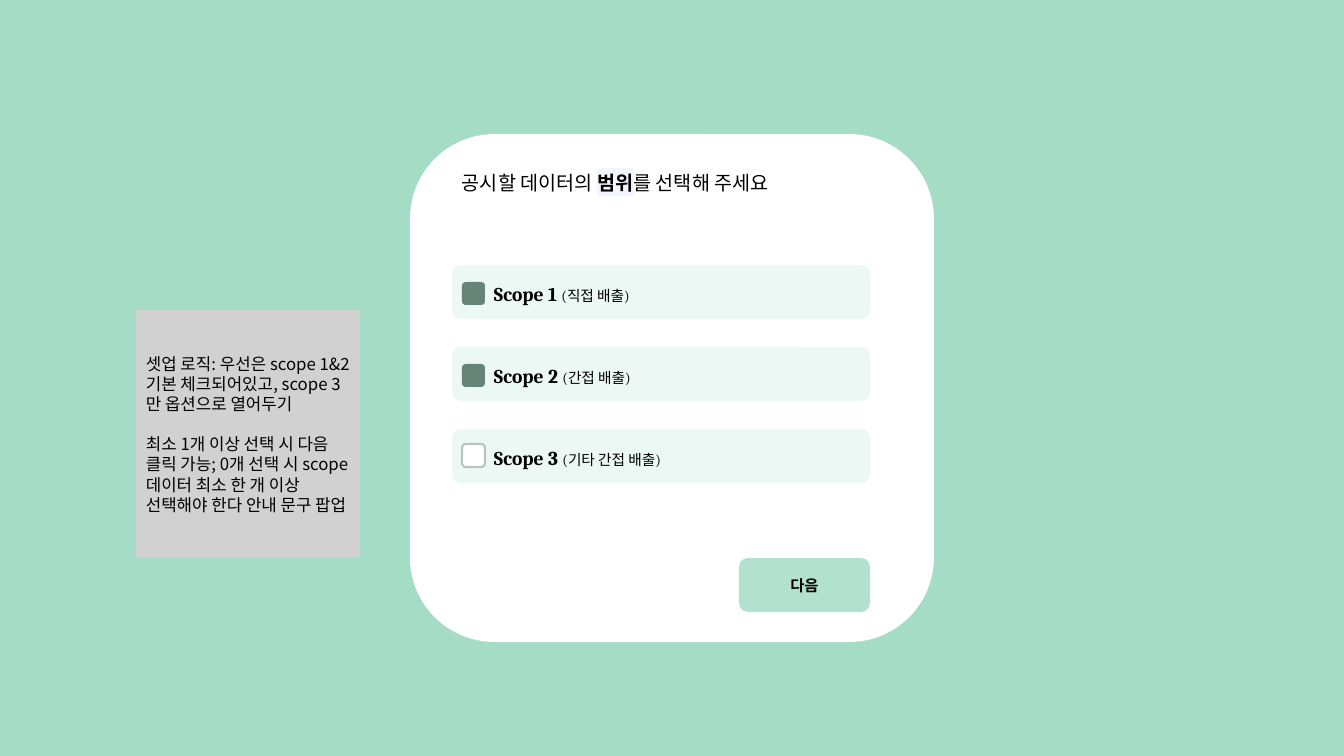
import pptx
import pptx.util
import pptx.dml.color
import pptx.enum.shapes
import pptx.enum.text
import pptx.oxml.ns
from lxml import etree

EMU_PER_PX = 12192000 / 1344
RECT = pptx.enum.shapes.MSO_SHAPE.RECTANGLE
ROUNDED = pptx.enum.shapes.MSO_SHAPE.ROUNDED_RECTANGLE
MIDDLE = pptx.enum.text.MSO_ANCHOR.MIDDLE
LEFT = pptx.enum.text.PP_ALIGN.LEFT
CENTER = pptx.enum.text.PP_ALIGN.CENTER
KOREAN = "Noto Sans CJK KR"
SERIF = "Cambria"


def px(*lengths):
    return [pptx.util.Emu(round(n * EMU_PER_PX)) for n in lengths]


def color(value):
    return pptx.dml.color.RGBColor.from_string(value)


def add_box(s, kind, left, top, width, height, fill, line=None):
    sp = s.shapes.add_shape(kind, *px(left, top, width, height))
    sp.shadow.inherit = False
    sp.fill.solid()
    sp.fill.fore_color.rgb = color(fill)
    if line:
        sp.line.color.rgb = color(line)
        sp.line.width = pptx.util.Pt(1.5)
    else:
        sp.line.fill.background()
    return sp


def add_run(p, text, size, font, bold=False, highlight=None):
    r = p.add_run()
    r.text = text
    r.font.size = pptx.util.Pt(size)
    r.font.bold = bold
    r.font.color.rgb = color("000000")
    rpr = r.font._element
    if highlight:
        mark = etree.SubElement(rpr, pptx.oxml.ns.qn("a:highlight"))
        etree.SubElement(mark, pptx.oxml.ns.qn("a:srgbClr"), val=highlight)
    r.font.name = font
    etree.SubElement(rpr, pptx.oxml.ns.qn("a:ea"), typeface=KOREAN)


def add_label(s, left, top, runs):
    """Place one line of text; each run is a tuple of add_run arguments."""
    tf = s.shapes.add_textbox(*px(left, top, 418, 34)).text_frame
    tf.word_wrap = True
    for run in runs:
        add_run(tf.paragraphs[0], *run)


def fill_text(sp, paragraphs, size, align, bold=False):
    tf = sp.text_frame
    tf.word_wrap = True
    tf.vertical_anchor = MIDDLE
    for i, text in enumerate(paragraphs):
        p = tf.add_paragraph() if i else tf.paragraphs[0]
        p.alignment = align
        if i:
            p.space_before = pptx.util.Pt(14.4)
        add_run(p, text, size, KOREAN, bold)


def add_option(s, top, name, detail, checked):
    add_box(s, ROUNDED, 452, top, 418, 54, "ECF8F4")
    if checked:
        add_box(s, ROUNDED, 462, top + 17, 23, 23, "648578")
    else:
        add_box(s, ROUNDED, 462, top + 15, 23, 23, "FFFFFF", "B4C6BF")
    add_label(s, 484, top + 12, [(name + " ", 14, SERIF, True), (detail, 10.5, SERIF)])


def main():
    prs = pptx.Presentation()
    prs.slide_width, prs.slide_height = px(1344, 756)
    s = prs.slides.add_slide(prs.slide_layouts[6])

    add_box(s, RECT, 0, 0, 1344, 756, "A5DCC6")
    add_box(s, ROUNDED, 410, 134, 524, 508, "FFFFFF")
    add_label(s, 452, 166, [
        ("공시할 데이터의 ", 14, SERIF),
        ("범위", 14, SERIF, True, "F2F5FD"),
        ("를 선택해 주세요", 14, SERIF),
    ])

    options = [
        ("Scope 1", "(직접 배출)", True),
        ("Scope 2", "(간접 배출)", True),
        ("Scope 3", "(기타 간접 배출)", False),
    ]
    for i, option in enumerate(options):
        add_option(s, 265 + 82 * i, *option)

    next_button = add_box(s, ROUNDED, 739, 558, 131, 54, "B2E2CF")
    fill_text(next_button, ["다음"], 11, CENTER, True)

    note = add_box(s, RECT, 136, 310, 224, 248, "D1D1D1")
    fill_text(note, [
        "셋업 로직: 우선은 scope 1&2 기본 체크되어있고, scope 3만 옵션으로 열어두기",
        "최소 1개 이상 선택 시 다음 클릭 가능; 0개 선택 시 scope 데이터 최소 한 개 "
        "이상 선택해야 한다 안내 문구 팝업",
    ], 12, LEFT)

    prs.save("out.pptx")


if __name__ == "__main__":
    main()
